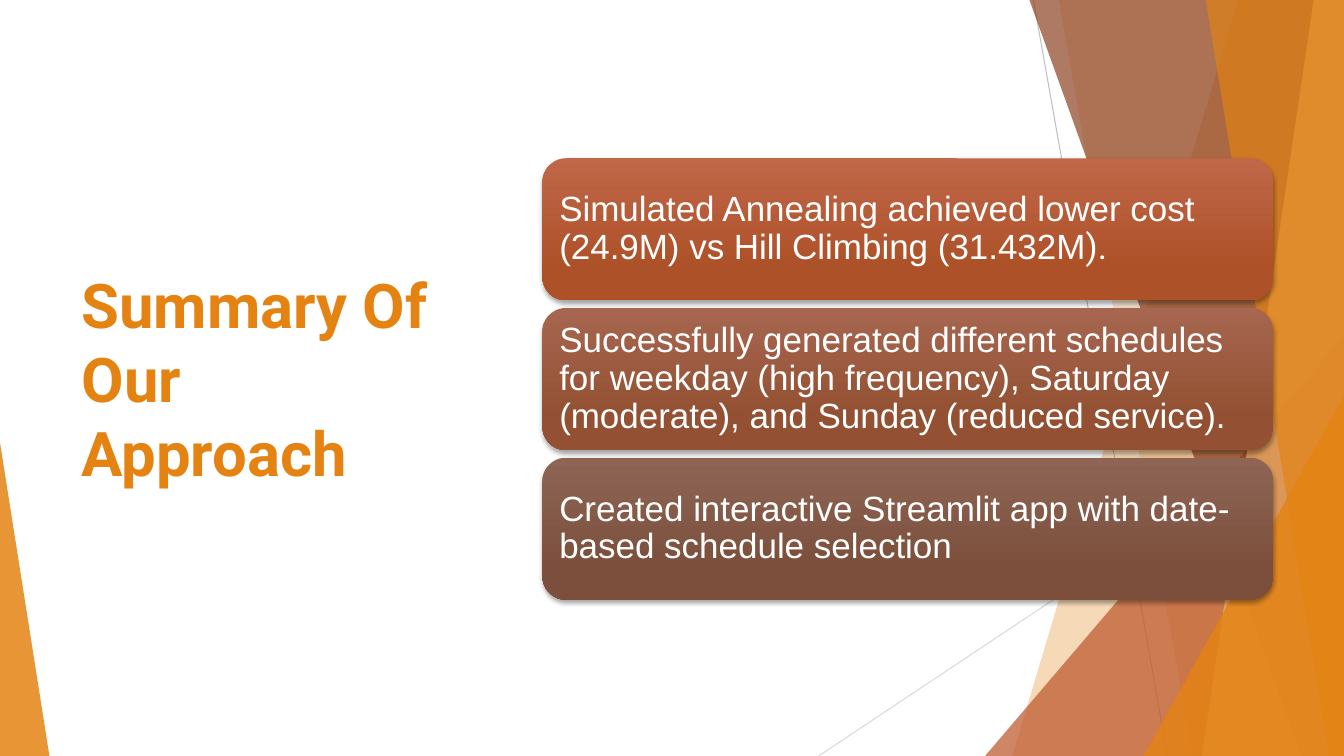
from dataclasses import dataclass

import pptx
import pptx.dml.color
import pptx.enum.shapes
import pptx.enum.text
import pptx.oxml
import pptx.oxml.ns
import pptx.util

Inches = pptx.util.Inches
Shapes = pptx.enum.shapes.MSO_SHAPE

WIDTH, HEIGHT = 13.33, 7.5
COLORS = {
    "orange": "E48312", "rust": "BD582C", "brown": "8E4221", "peach": "F3B56C",
    "gray": "BFBFBF", "light_gray": "D9D9D9", "white": "FFFFFF",
    "card_1_top": "C06749", "card_1_bottom": "AD5128",
    "card_2_top": "A6664F", "card_2_bottom": "935032",
    "card_3_top": "8E6555", "card_3_bottom": "7B4F3B",
}


@dataclass
class Ray:
    start: tuple[float, float]
    end: tuple[float, float]
    color: str


@dataclass
class Band:
    top_x: float
    bottom_x: float
    color: str
    opacity: int


@dataclass
class Wedge:
    left: float
    top: float
    width: float
    apex: float
    color: str
    opacity: int


@dataclass
class Card:
    runs: list[tuple[str, str]]
    top_color: str
    bottom_color: str


RAYS = [
    Ray((10.25, 0), (11.58, HEIGHT), "gray"),
    Ray((WIDTH, 4.03), (8.12, HEIGHT), "light_gray"),
]
FACETS = [
    Band(12.28, 10.04, "orange", 30),
    Band(10.5, 11.83, "orange", 20),
    Wedge(9.77, 3.33, 3.56, 1, "rust", 72),
    Band(10.21, 12.91, "brown", 70),
    Band(13.03, 11.92, "peach", 70),
    Band(11.96, 13.18, "orange", 65),
    Wedge(11.34, 3.93, 1.99, 1, "orange", 80),
    Wedge(0, 4.39, 0.49, 0, "orange", 85),
]
CARDS = [
    Card([("Simulated Annealing achieved lower cost (24.9M) vs Hill Climbing (31.432M", "Arial"),
          (").", "Roboto")], "card_1_top", "card_1_bottom"),
    Card([("Successfully generated different schedules for weekday (high frequency), "
           "Saturday (moderate), and Sunday (reduced service).", "Arial")],
         "card_2_top", "card_2_bottom"),
    Card([("Created interactive Streamlit app with date-based schedule selection", "Arial")],
         "card_3_top", "card_3_bottom"),
]
CARD_LEFT, CARD_TOP, CARD_WIDTH, CARD_HEIGHT, CARD_STEP = 5.38, 1.57, 7.25, 1.41, 1.485


def rgb(name: str) -> pptx.dml.color.RGBColor:
    return pptx.dml.color.RGBColor.from_string(COLORS[name])


def write_text(shape, runs: list[tuple[str, str]], *, size: float, color: str,
               bold: bool = False, line_spacing: float = 1.0,
               margin_y: float = 0.05) -> None:
    frame = shape.text_frame
    frame.word_wrap = True
    frame.vertical_anchor = pptx.enum.text.MSO_ANCHOR.MIDDLE
    frame.margin_left = frame.margin_right = Inches(0.1)
    frame.margin_top = frame.margin_bottom = Inches(margin_y)
    para = frame.paragraphs[0]
    para.alignment = pptx.enum.text.PP_ALIGN.LEFT
    para.line_spacing = line_spacing
    for text, font in runs:
        span = para.add_run()
        span.text = text
        span.font.name = font
        span.font.size = pptx.util.Pt(size)
        span.font.bold = bold
        span.font.color.rgb = rgb(color)


def draw_ray(page, ray: Ray) -> None:
    line = page.shapes.add_connector(
        pptx.enum.shapes.MSO_CONNECTOR.STRAIGHT,
        *(Inches(value) for value in ray.start + ray.end))
    line.line.color.rgb = rgb(ray.color)
    line.line.width = pptx.util.Pt(0.75)
    line._element.spPr.append(pptx.oxml.parse_xml(
        f'<a:effectLst {pptx.oxml.ns.nsdecls("a")}/>'))


def draw_facet(page, facet: Band | Wedge) -> None:
    if isinstance(facet, Band):
        builder = page.shapes.build_freeform(Inches(facet.top_x), 0)
        builder.add_line_segments([
            (Inches(x), Inches(y))
            for x, y in ((WIDTH, 0), (WIDTH, HEIGHT), (facet.bottom_x, HEIGHT))])
        shape = builder.convert_to_shape()
    else:
        shape = page.shapes.add_shape(
            Shapes.ISOSCELES_TRIANGLE, Inches(facet.left), Inches(facet.top),
            Inches(facet.width), Inches(HEIGHT - facet.top))
        shape.adjustments[0] = facet.apex
    shape.shadow.inherit = False
    shape.line.fill.background()
    shape.fill.solid()
    shape.fill.fore_color.rgb = rgb(facet.color)
    color = shape._element.spPr.find(".//" + pptx.oxml.ns.qn("a:srgbClr"))
    color.append(pptx.oxml.parse_xml(
        f'<a:alpha {pptx.oxml.ns.nsdecls("a")} val="{facet.opacity * 1000}"/>'))


def draw_card(page, card: Card, top: float) -> None:
    box = page.shapes.add_shape(
        Shapes.ROUNDED_RECTANGLE, Inches(CARD_LEFT), Inches(top),
        Inches(CARD_WIDTH), Inches(CARD_HEIGHT))
    box.line.fill.background()
    box.fill.gradient()
    box.fill.gradient_angle = 270
    stops = ((0, card.top_color), (0.78, card.bottom_color))
    for stop, (position, color) in zip(box.fill.gradient_stops, stops):
        stop.position = position
        stop.color.rgb = rgb(color)
    box._element.spPr.append(pptx.oxml.parse_xml(
        f'<a:effectLst {pptx.oxml.ns.nsdecls("a")}>'
        '<a:outerShdw blurRad="38100" dist="25400" dir="5400000" rotWithShape="0">'
        '<a:srgbClr val="000000"><a:alpha val="35000"/></a:srgbClr>'
        '</a:outerShdw></a:effectLst>'))
    write_text(box, card.runs, size=25, color="white", line_spacing=0.9, margin_y=0.1)


def main() -> None:
    deck = pptx.Presentation()
    deck.slide_width, deck.slide_height = Inches(WIDTH), Inches(HEIGHT)
    page = deck.slides.add_slide(deck.slide_layouts[6])
    for ray in RAYS:
        draw_ray(page, ray)
    for facet in FACETS:
        draw_facet(page, facet)
    title = page.shapes.add_textbox(Inches(0.71), Inches(1.51), Inches(3.88), Inches(4.48))
    write_text(title, [("Summary Of Our Approach", "Roboto")],
               size=44, color="orange", bold=True)
    for index, card in enumerate(CARDS):
        draw_card(page, card, CARD_TOP + index * CARD_STEP)
    deck.save("out.pptx")


if __name__ == "__main__":
    main()
